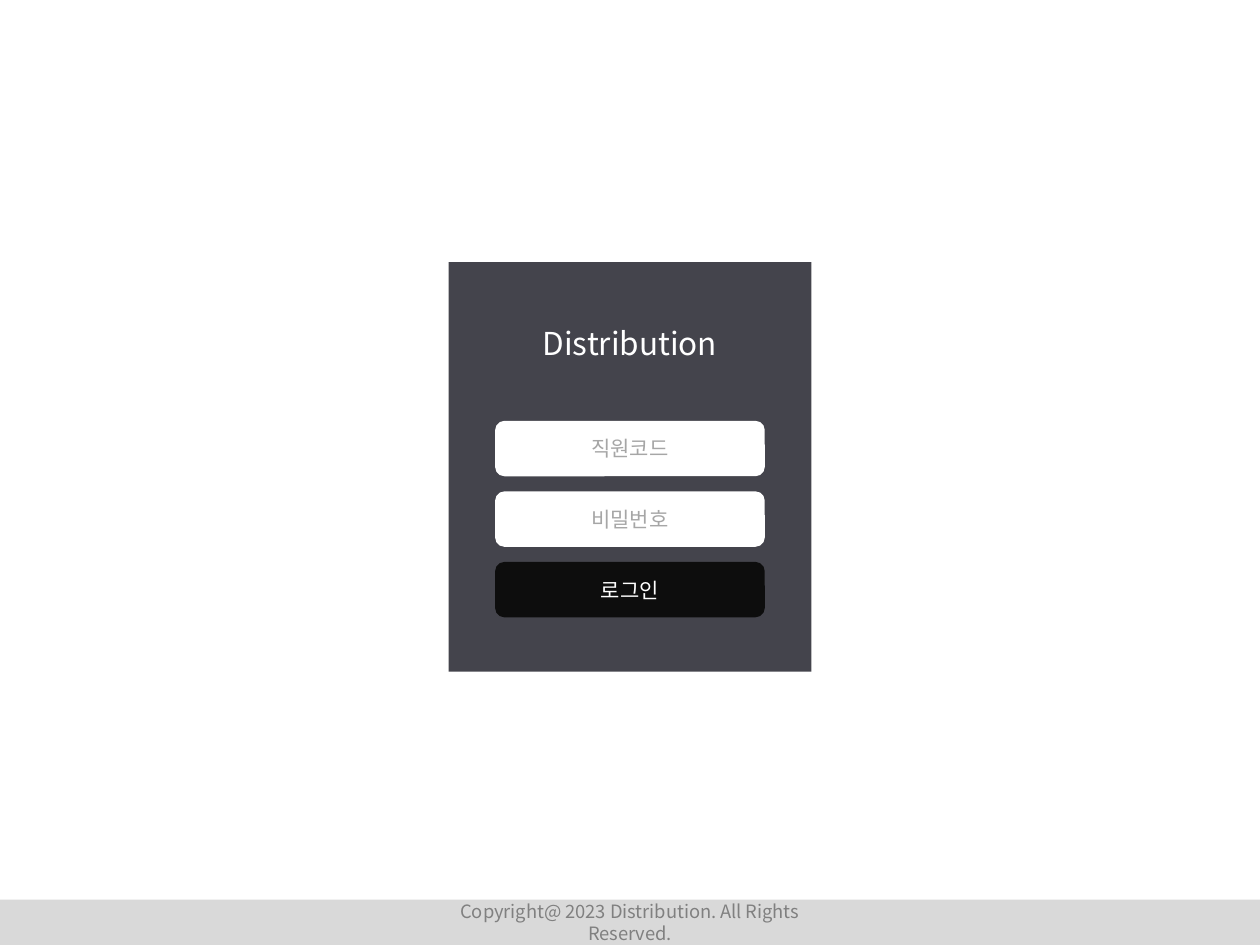
from dataclasses import dataclass

from lxml import etree
from pptx import Presentation
from pptx.dml.color import RGBColor
from pptx.enum import shapes, text
from pptx.oxml.ns import qn
from pptx.util import Inches, Pt


@dataclass(frozen=True)
class Theme:
    font: str = "Noto Sans CJK KR"
    panel: str = "44444C"
    footer: str = "D9D9D9"
    footer_text: str = "808080"
    white: str = "FFFFFF"
    hint: str = "A6A6A6"
    button: str = "0D0D0D"
    title_size: float = 18
    field_size: float = 12
    footer_size: float = 10.5


@dataclass(frozen=True)
class Box:
    left: float
    top: float
    width: float
    height: float

    def emu(self) -> list[int]:
        return [Inches(v) for v in (self.left, self.top, self.width, self.height)]


@dataclass(frozen=True)
class Field:
    label: str
    fill: str
    color: str


THEME = Theme()
SLIDE_W, SLIDE_H = 10, 7.5
FOOTER_H = 0.36
FIELD_TOP, FIELD_W, FIELD_H, FIELD_PITCH = 3.34, 2.14, 0.44, 0.56

FIELDS = [
    Field("직원코드", THEME.white, THEME.hint),
    Field("비밀번호", THEME.white, THEME.hint),
    Field("로그인", THEME.button, THEME.white),
]


def centered(top: float, width: float, height: float) -> Box:
    """Box centred across the slide."""
    return Box((SLIDE_W - width) / 2, top, width, height)


def write(sp, content: str, size: float, color: str) -> None:
    tf = sp.text_frame
    tf.word_wrap = True
    tf.vertical_anchor = text.MSO_ANCHOR.MIDDLE
    p = tf.paragraphs[0]
    p.text = content
    p.alignment = text.PP_ALIGN.CENTER
    p.font.size = Pt(size)
    p.font.color.rgb = RGBColor.from_string(color)
    p.font.name = THEME.font
    # Hangul takes its typeface from the East Asian font slot.
    ea = etree.SubElement(p.font._element, qn("a:ea"))
    ea.set("typeface", THEME.font)


def add_block(parent, kind: shapes.MSO_SHAPE, box: Box, fill: str):
    sp = parent.add_shape(kind, *box.emu())
    sp.shadow.inherit = False
    sp.fill.solid()
    sp.fill.fore_color.rgb = RGBColor.from_string(fill)
    sp.line.fill.background()
    return sp


def add_label(parent, box: Box, content: str, size: float, color: str) -> None:
    write(parent.add_textbox(*box.emu()), content, size, color)


def add_footer(s) -> None:
    bar = Box(0, SLIDE_H - FOOTER_H, SLIDE_W, FOOTER_H)
    add_block(s.shapes, shapes.MSO_SHAPE.RECTANGLE, bar, THEME.footer)
    add_label(s.shapes, centered(7.18, 3.4, 0.28),
              "Copyright@ 2023 Distribution. All Rights Reserved.",
              THEME.footer_size, THEME.footer_text)


def add_login_panel(s) -> None:
    group = s.shapes.add_group_shape().shapes
    add_block(group, shapes.MSO_SHAPE.RECTANGLE, centered(2.08, 2.88, 3.25), THEME.panel)
    add_label(group, centered(2.52, 2, 0.4), "Distribution", THEME.title_size, THEME.white)
    for i, field in enumerate(FIELDS):
        box = centered(FIELD_TOP + i * FIELD_PITCH, FIELD_W, FIELD_H)
        sp = add_block(group, shapes.MSO_SHAPE.ROUNDED_RECTANGLE, box, field.fill)
        write(sp, field.label, THEME.field_size, field.color)


def main() -> None:
    prs = Presentation()
    prs.slide_width, prs.slide_height = Inches(SLIDE_W), Inches(SLIDE_H)
    s = prs.slides.add_slide(prs.slide_layouts[6])
    add_footer(s)
    add_login_panel(s)
    prs.save("out.pptx")


if __name__ == "__main__":
    main()
